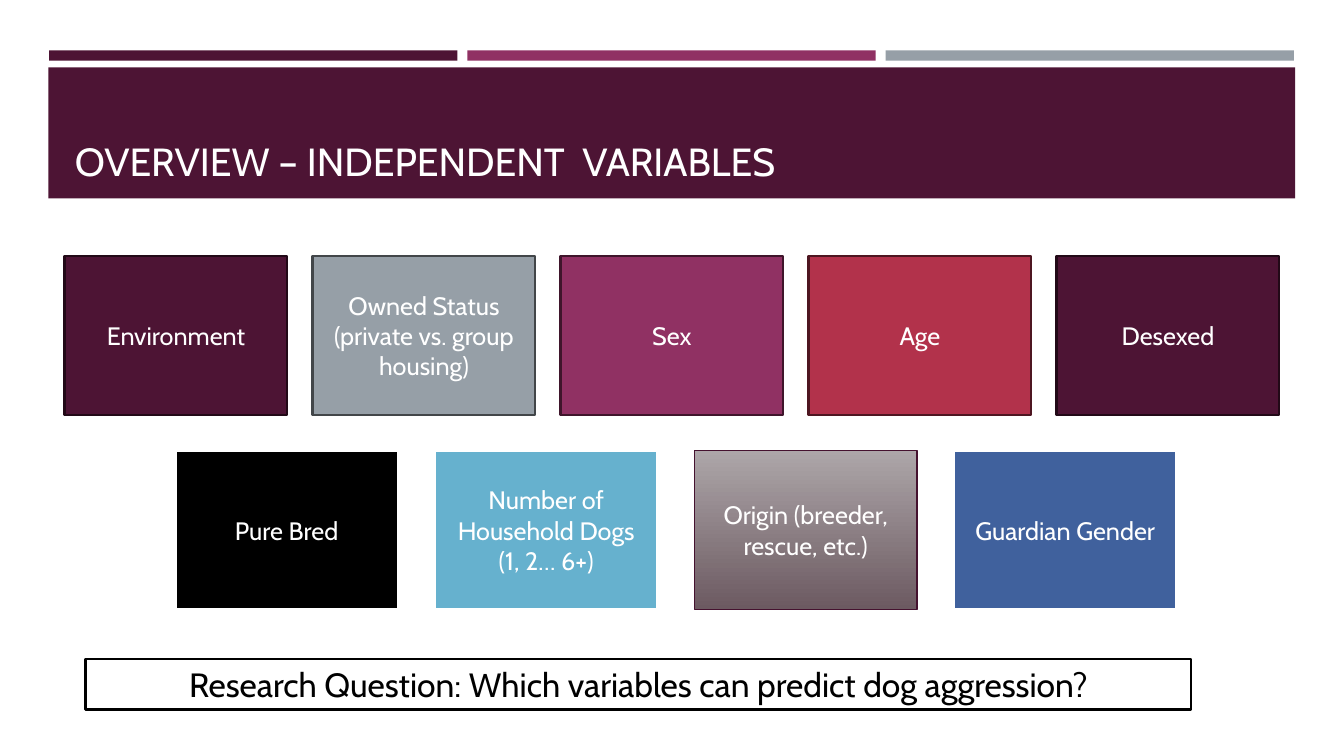
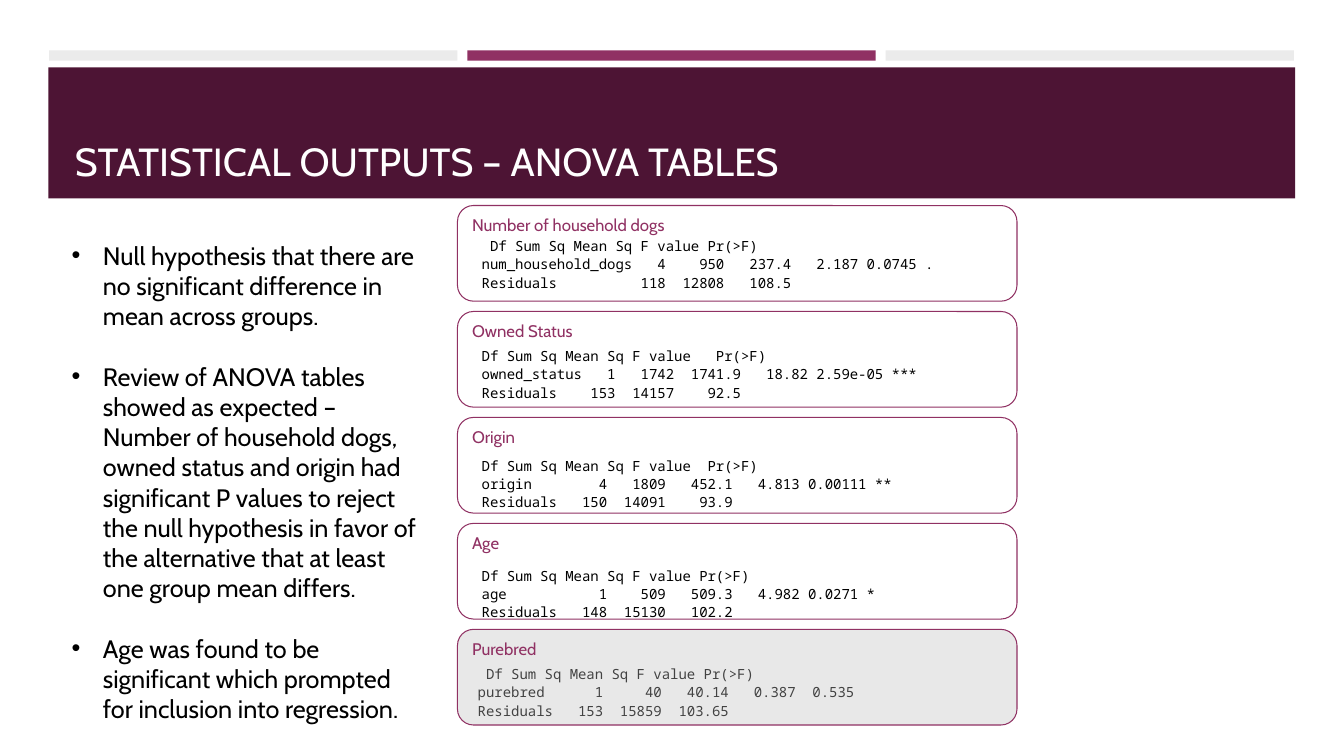
from lxml import etree
from pptx import Presentation
from pptx import util as u
from pptx.dml import color as dml
from pptx.enum import shapes, text
from pptx.oxml import ns

PLUM = "4D1434"
BERRY = "903163"
SILVER = "969FA7"
PALE = "EBEBEB"
WHITE = "FFFFFF"
BLACK = "000000"
SANS = "Cabin"
MONO = "Noto Sans Mono"

FIRST_ROW = [
    ("Environment", PLUM, "220917"),
    ("Owned Status (private vs. group housing)", SILVER, "424649"),
    ("Sex", BERRY, "3F152B"),
    ("Age", "B2324B", "4E1621"),
    ("Desexed", PLUM, "220917"),
]
SECOND_ROW = [
    ("Pure Bred", BLACK, WHITE, 2),
    ("Number of Household Dogs (1, 2… 6+)", "66B1CE", WHITE, 2),
    ("Origin (breeder, rescue, etc.)", ("ADA6A9", "6C5A61"), "45122F", 1),
    ("Guardian Gender", "40619D", WHITE, 2),
]
FINDINGS = [
    "Null hypothesis that there are no significant difference in mean across groups.",
    "Review of ANOVA tables showed as expected – Number of household dogs, owned status "
    "and origin had significant P values to reject the null hypothesis in favor of the "
    "alternative that at least one group mean differs.",
    "Age was found to be significant which prompted for inclusion into regression.",
]
ANOVA = [
    ("Number of household dogs", [
        " Df Sum Sq Mean Sq F value Pr(>F)",
        "num_household_dogs   4    950   237.4   2.187 0.0745 .",
        "Residuals          118  12808   108.5",
    ]),
    ("Owned Status", [
        "Df Sum Sq Mean Sq F value   Pr(>F)",
        "owned_status   1   1742  1741.9   18.82 2.59e-05 ***",
        "Residuals    153  14157    92.5",
    ]),
    ("Origin", [
        "Df Sum Sq Mean Sq F value  Pr(>F)",
        "origin        4   1809   452.1   4.813 0.00111 **",
        "Residuals   150  14091    93.9",
    ]),
    ("Age", [
        "Df Sum Sq Mean Sq F value Pr(>F)",
        "age           1    509   509.3   4.982 0.0271 *",
        "Residuals   148  15130   102.2",
    ]),
]
PUREBRED = [
    " Df Sum Sq Mean Sq F value Pr(>F)",
    "purebred      1     40   40.14   0.387  0.535",
    "Residuals   153  15859  103.65",
]


def rgb(value):
    return dml.RGBColor.from_string(value)


def cm(*lengths):
    return [u.Cm(length) for length in lengths]


def write(box, lines, size=18, color=BLACK, font=SANS, align="LEFT", anchor="TOP",
          spacing=None, gap=0, bullet=None):
    frame = box.text_frame
    frame.word_wrap = True
    frame.auto_size = text.MSO_AUTO_SIZE.NONE
    frame.vertical_anchor = text.MSO_ANCHOR[anchor]
    for index, line in enumerate(lines):
        para = frame.paragraphs[0] if index == 0 else frame.add_paragraph()
        if bullet:
            properties = para._p.get_or_add_pPr()
            indent = u.Cm(0.79)
            properties.set("marL", str(indent))
            properties.set("indent", str(-indent))
            etree.SubElement(properties, ns.qn("a:buFont"), typeface="Arial")
            etree.SubElement(properties, ns.qn("a:buChar"), char=bullet)
        para.alignment = text.PP_ALIGN[align]
        para.space_before = u.Pt(gap if index else 0)
        if spacing:
            para.line_spacing = u.Pt(spacing)
        span = para.add_run()
        span.text = line
        span.font.size = u.Pt(size)
        span.font.name = font
        span.font.color.rgb = rgb(color)


class Deck:
    TITLE_ONLY = 5
    TITLE_AND_BODY = 1

    def __init__(self):
        self.file = Presentation()
        self.file.slide_width, self.file.slide_height = cm(33.87, 19.05)
        self.page = None

    def add_page(self, layout, title, stripes=(PLUM, BERRY, SILVER)):
        self.page = self.file.slides.add_slide(self.file.slide_layouts[layout])
        for index, stripe in enumerate(stripes):
            self.block((1.24 + 10.54 * index, 1.27, 10.29, 0.26), fill=stripe)
        self.block((1.22, 1.7, 31.42, 3.3), fill=PLUM)
        box = self.page.shapes.title
        self.page.shapes._spTree.append(box._element)
        self.place(box, (1.63, 1.96, 30.63, 2.82))
        write(box, [title], size=28, color=WHITE, anchor="BOTTOM")

    def place(self, box, area):
        box.left, box.top, box.width, box.height = cm(*area)

    def block(self, area, lines=(), fill=None, line=None, width=1.75,
              kind="RECTANGLE", opacity=None, **style):
        box = self.page.shapes.add_shape(shapes.MSO_SHAPE[kind], *cm(*area))
        box.shadow.inherit = False
        if fill is None:
            box.fill.background()
        elif isinstance(fill, tuple):
            box.fill.gradient()
            box.fill.gradient_angle = 270
            for stop, shade in zip(box.fill.gradient_stops, fill):
                stop.color.rgb = rgb(shade)
        else:
            box.fill.solid()
            box.fill.fore_color.rgb = rgb(fill)
        if opacity:
            shade = box._element.spPr.find(".//" + ns.qn("a:srgbClr"))
            etree.SubElement(shade, ns.qn("a:alpha"), val=str(opacity * 1000))
        if line:
            box.line.color.rgb = rgb(line)
            box.line.width = u.Pt(width)
        else:
            box.line.fill.background()
        write(box, lines, **style)

    def variable(self, left, top, label, fill, line, width=1.75):
        self.block((left, top, 5.61, 4.01), [label], fill, line, width,
                   color=WHITE, align="CENTER", anchor="MIDDLE")

    def code(self, left, top, lines):
        box = self.page.shapes.add_textbox(*cm(left, top, 13.03, 1.64))
        write(box, lines, size=10, font=MONO, spacing=13.1)

    def panel(self, row, heading, **look):
        self.block((11.53, 5.18 + 2.67 * row, 14.1, 2.41), [heading], line=BERRY,
                   width=0.75, kind="ROUNDED_RECTANGLE", size=12, color=BERRY, **look)

    def bullets(self, area, lines):
        box = self.page.placeholders[1]
        self.place(box, area)
        write(box, lines, gap=21.6, bullet="•")


def variables_page(deck):
    deck.add_page(Deck.TITLE_ONLY, "OVERVIEW – INDEPENDENT  VARIABLES")
    for left, step, top, row in ((1.63, 6.25, 6.45, FIRST_ROW), (4.42, 6.54, 11.35, SECOND_ROW)):
        for index, variable in enumerate(row):
            deck.variable(left + step * index, top, *variable)
    deck.block((2.16, 16.61, 27.86, 1.27),
               ["Research Question: Which variables can predict dog aggression?"],
               fill=WHITE, line=BLACK, size=24, align="CENTER")


def anova_page(deck):
    deck.add_page(Deck.TITLE_AND_BODY, "STATISTICAL OUTPUTS – ANOVA TABLES", (PALE, BERRY, PALE))
    deck.bullets((1.55, 5.92, 9.27, 12.57), FINDINGS)
    for row, (heading, lines) in enumerate(ANOVA):
        deck.panel(row, heading)
        deck.code(11.89, 5.82 + 2.77 * row, lines)
    deck.code(11.79, 16.61, PUREBRED)
    deck.panel(len(ANOVA), "Purebred", fill="BFBFBF", opacity=35)


def main():
    deck = Deck()
    variables_page(deck)
    anova_page(deck)
    deck.file.save("out.pptx")


if __name__ == "__main__":
    main()
